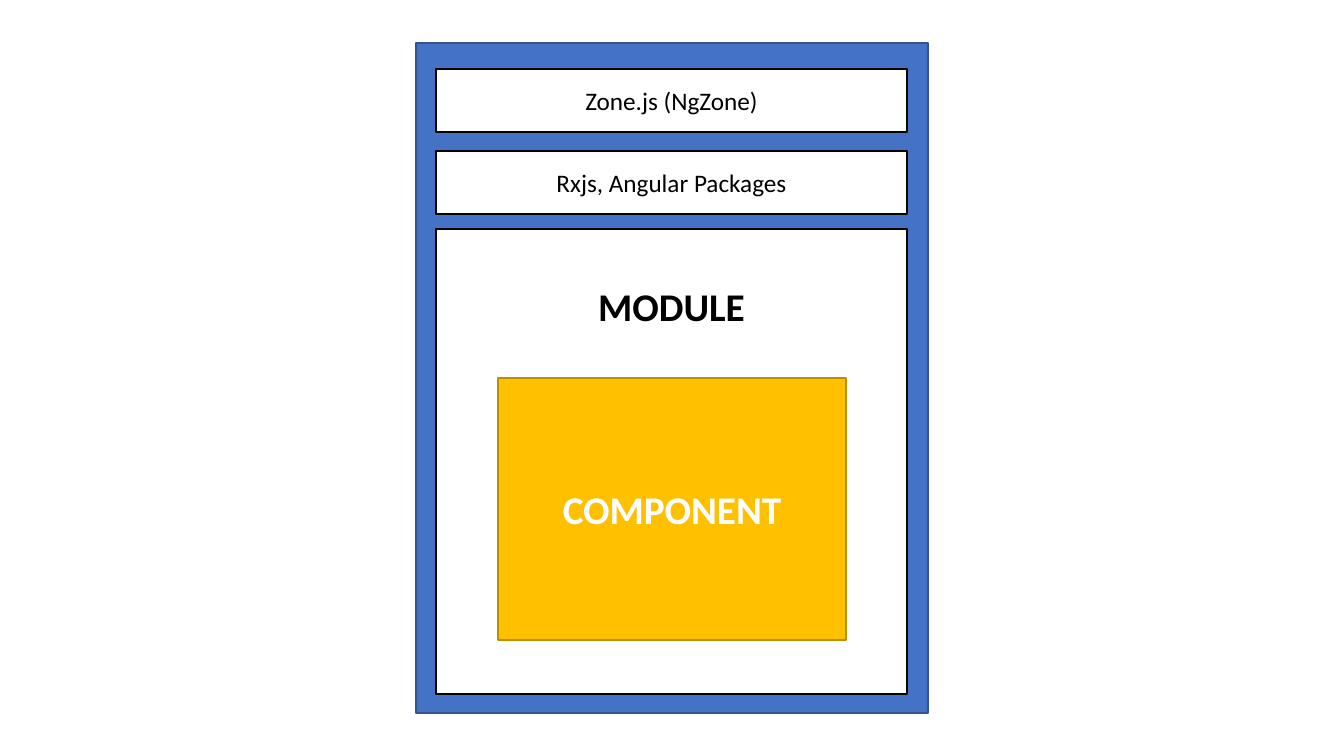
from pptx import Presentation
from pptx.dml.color import RGBColor
from pptx.enum.shapes import MSO_SHAPE
from pptx.enum.text import MSO_ANCHOR, PP_ALIGN
from pptx.util import Emu, Pt

EMU_PER_PX = 12192000 / 1344
PAGE_WIDTH, PAGE_HEIGHT = 1344, 756
LAYER_LEFT, LAYER_WIDTH = 436, 471

BLUE = RGBColor(0x44, 0x72, 0xC4)
DARK_BLUE = RGBColor(0x32, 0x54, 0x91)
GOLD = RGBColor(0xFF, 0xC0, 0x00)
DARK_GOLD = RGBColor(0xBD, 0x8E, 0x00)
WHITE = RGBColor(0xFF, 0xFF, 0xFF)
BLACK = RGBColor(0x00, 0x00, 0x00)

LABEL = {"name": "Calibri", "size": Pt(18), "bold": False}
HEADING = {"name": "Calibri", "size": Pt(28), "bold": True}


def px(length):
    return Emu(round(length * EMU_PER_PX))


def add_box(page, left, top, width, height, fill, line):
    box = page.shapes.add_shape(
        MSO_SHAPE.RECTANGLE, px(left), px(top), px(width), px(height))
    box.shadow.inherit = False
    box.fill.solid()
    box.fill.fore_color.rgb = fill
    box.line.color.rgb = line
    box.line.width = Pt(1)
    return box


def write_label(box, text, font_format, color, anchor=MSO_ANCHOR.MIDDLE):
    frame = box.text_frame
    frame.word_wrap = True
    frame.vertical_anchor = anchor
    para = frame.paragraphs[0]
    para.alignment = PP_ALIGN.CENTER
    span = para.add_run()
    span.text = text
    for attribute, value in font_format.items():
        setattr(span.font, attribute, value)
    span.font.color.rgb = color


def add_layer(page, top, height):
    """Add a white, black-edged box spanning the inside of the frame."""
    return add_box(page, LAYER_LEFT, top, LAYER_WIDTH, height, WHITE, BLACK)


def main():
    deck = Presentation()
    deck.slide_width, deck.slide_height = px(PAGE_WIDTH), px(PAGE_HEIGHT)
    page = deck.slides.add_slide(deck.slide_layouts[6])

    add_box(page, 416, 43, 512, 670, BLUE, DARK_BLUE)

    for top, text in ((69, "Zone.js (NgZone)"), (151, "Rxjs, Angular Packages")):
        write_label(add_layer(page, top, 63), text, LABEL, BLACK)

    module = add_layer(page, 229, 465)
    module.text_frame.margin_top = px(53)
    write_label(module, "MODULE", HEADING, BLACK, MSO_ANCHOR.TOP)

    component = add_box(page, 498, 378, 348, 262, GOLD, DARK_GOLD)
    write_label(component, "COMPONENT", HEADING, WHITE)

    deck.save("out.pptx")


if __name__ == "__main__":
    main()
